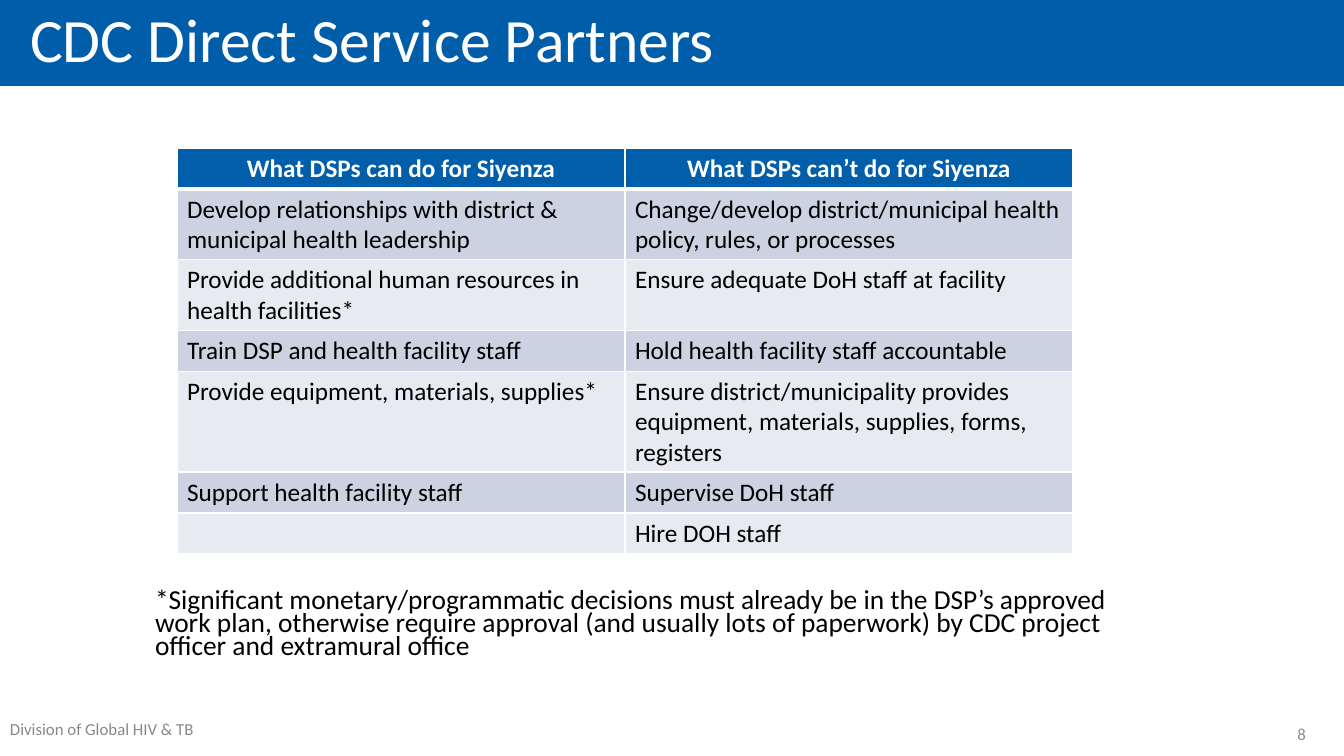
from dataclasses import dataclass
from typing import Any

from lxml import etree
from pptx import Presentation
from pptx.dml.color import RGBColor
from pptx.enum.shapes import MSO_SHAPE
from pptx.enum.text import MSO_ANCHOR, PP_ALIGN
from pptx.oxml.ns import qn
from pptx.util import Emu, Pt

RECT = MSO_SHAPE.RECTANGLE
TOP = MSO_ANCHOR.TOP
MIDDLE = MSO_ANCHOR.MIDDLE
LEFT = PP_ALIGN.LEFT
RIGHT = PP_ALIGN.RIGHT
CENTER = PP_ALIGN.CENTER
SCALE = 914400 / 100.8


@dataclass(frozen=True)
class Theme:
    font: str = "Calibri"
    banner: str = "005DAA"
    header: str = "005EAA"
    bands: tuple[str, str] = ("CCD2E2", "E7EAF1")
    white: str = "FFFFFF"
    black: str = "000000"
    footer: str = "898989"
    number: str = "8C8C8C"
    title_size: float = 44
    table_size: float = 18
    note_size: float = 19.6
    small_size: float = 12


@dataclass(frozen=True)
class Style:
    size: float
    color: str
    bold: bool = False
    align: PP_ALIGN = LEFT
    spacing: float = 1.0
    before: float = 0


@dataclass(frozen=True)
class Label:
    words: str
    left: int
    top: int
    width: int
    height: int
    style: Style
    anchor: MSO_ANCHOR = TOP
    inset: int = 10
    fill: str = ""


THEME = Theme()
HEAD = Style(THEME.table_size, THEME.white, bold=True, align=CENTER)
BODY = Style(THEME.table_size, THEME.black)

LABELS = [
    Label("Division of Global HIV & TB", 0, 714, 219, 40,
          Style(THEME.small_size, THEME.footer)),
    Label("CDC Direct Service Partners", 0, -1, 1344, 87,
          Style(THEME.title_size, THEME.white, spacing=0.9),
          MIDDLE, 30, THEME.banner),
    Label("8", 1200, 714, 116, 40,
          Style(THEME.small_size, THEME.number, align=RIGHT), MIDDLE),
    Label("*Significant monetary/programmatic decisions must already be in the "
          "DSP’s approved work plan, otherwise require approval (and usually lots "
          "of paperwork) by CDC project officer and extramural office",
          145, 586, 989, 85,
          Style(THEME.note_size, THEME.black, spacing=0.7, before=10)),
]

DUTIES = [
    ("What DSPs can do for Siyenza", "What DSPs can’t do for Siyenza"),
    ("Develop relationships with district & municipal health leadership",
     "Change/develop district/municipal health policy, rules, or processes"),
    ("Provide additional human resources in health facilities*",
     "Ensure adequate DoH staff at facility"),
    ("Train DSP and health facility staff",
     "Hold health facility staff accountable"),
    ("Provide equipment, materials, supplies*",
     "Ensure district/municipality provides equipment, materials, supplies, "
     "forms, registers"),
    ("Support health facility staff", "Supervise DoH staff"),
    ("", "Hire DOH staff"),
]


def px(count: int) -> Emu:
    return Emu(round(count * SCALE))


def paint(fill: Any, color: str) -> None:
    fill.solid()
    fill.fore_color.rgb = RGBColor.from_string(color)


def write(frame: Any, words: str, style: Style) -> None:
    para = frame.paragraphs[0]
    para.alignment = style.align
    para.line_spacing = style.spacing
    para.space_before = Pt(style.before)
    para.font.size = Pt(style.size)
    if not words:
        return
    run = para.add_run()
    run.text = words
    font = run.font
    font.name = THEME.font
    font.size = Pt(style.size)
    font.bold = style.bold
    font.color.rgb = RGBColor.from_string(style.color)


def add_label(slide: Any, label: Label) -> None:
    area = [px(n) for n in (label.left, label.top, label.width, label.height)]
    if label.fill:
        shape = slide.shapes.add_shape(RECT, *area)
        shape.shadow.inherit = False
        paint(shape.fill, label.fill)
        shape.line.fill.background()
    else:
        shape = slide.shapes.add_textbox(*area)
    frame = shape.text_frame
    frame.word_wrap = True
    frame.vertical_anchor = label.anchor
    frame.margin_left = frame.margin_right = px(label.inset)
    frame.margin_top = frame.margin_bottom = px(5)
    write(frame, label.words, label.style)


def add_edge(cell: Any, side: str, points: float) -> None:
    props = cell._tc.get_or_add_tcPr()
    line = etree.SubElement(props, qn(f"a:ln{side}"), w=str(Pt(points)))
    fill = etree.SubElement(line, qn("a:solidFill"))
    etree.SubElement(fill, qn("a:srgbClr"), val=THEME.white)


def add_duties(slide: Any) -> None:
    holder = slide.shapes.add_table(
        len(DUTIES), 2, px(177), px(148), px(896), px(405))
    table = holder.table
    for row, pair in enumerate(DUTIES):
        table.rows[row].height = px(41)
        for col, words in enumerate(pair):
            cell = table.cell(row, col)
            for side in "LRTB":
                thick = (row, side) in ((0, "B"), (1, "T"))
                add_edge(cell, side, 3 if thick else 1)
            paint(cell.fill, THEME.bands[(row - 1) % 2] if row else THEME.header)
            write(cell.text_frame, words, BODY if row else HEAD)
    holder.height = px(405)


def main() -> None:
    deck = Presentation()
    deck.slide_width = px(1344)
    deck.slide_height = px(756)
    slide = deck.slides.add_slide(deck.slide_layouts[6])
    for label in LABELS:
        add_label(slide, label)
    add_duties(slide)
    deck.save("out.pptx")


main()
